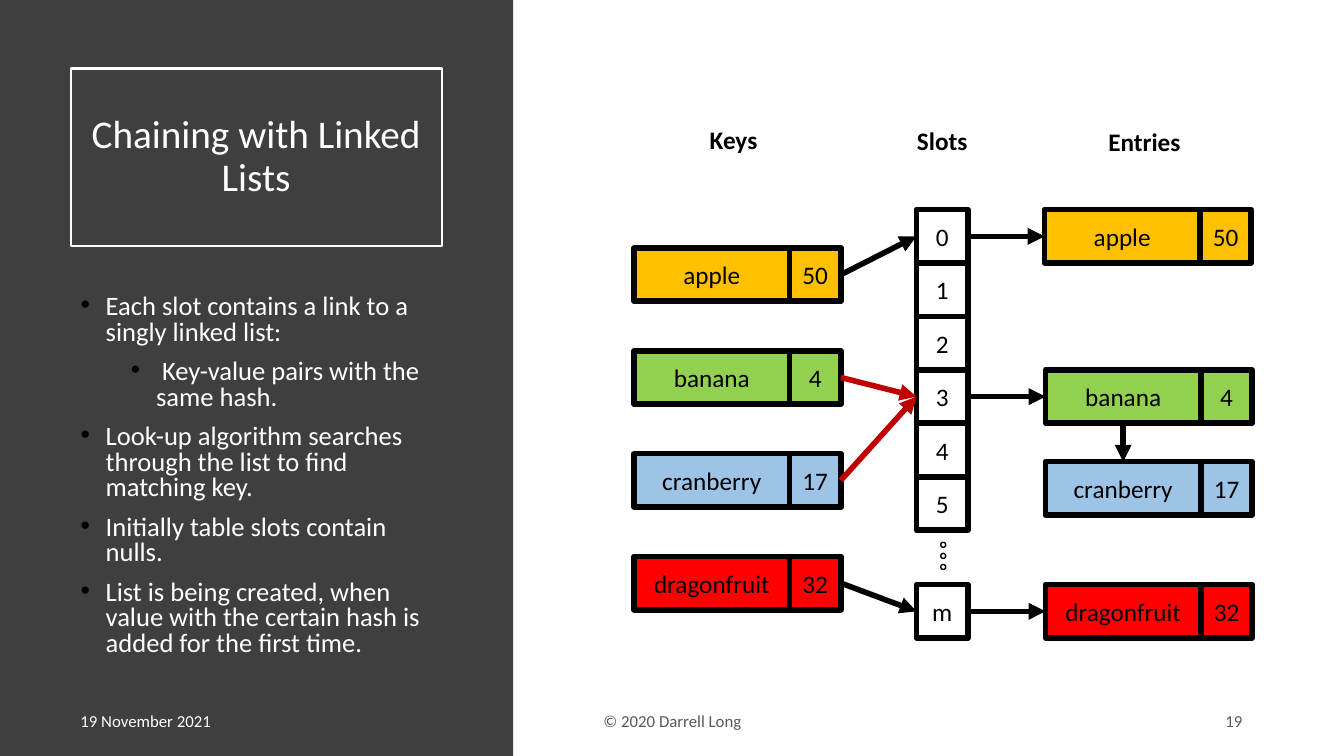
import pptx
import pptx.dml.color
import pptx.enum.shapes
import pptx.enum.text
import pptx.oxml.ns
import pptx.util
import lxml.etree

RGB = pptx.dml.color.RGBColor
BLACK = RGB(0x00, 0x00, 0x00)
WHITE = RGB(0xFF, 0xFF, 0xFF)
CHARCOAL = RGB(0x3F, 0x3F, 0x3F)
GRAY = RGB(0x59, 0x59, 0x59)
GOLD = RGB(0xFF, 0xC0, 0x00)
GREEN = RGB(0x92, 0xD0, 0x50)
BLUE = RGB(0x9D, 0xC3, 0xE6)
RED = RGB(0xFF, 0x00, 0x00)
DARK_RED = RGB(0xC0, 0x00, 0x00)

ALIGN = pptx.enum.text.PP_ALIGN
ANCHOR = pptx.enum.text.MSO_ANCHOR
SHAPE = pptx.enum.shapes.MSO_SHAPE
TOP, LEFT, BOTTOM, RIGHT = range(4)  # connection sites of a rectangle

PX = 9144  # 100 px to the inch
CELL_HEIGHT = 53
NAME_WIDTH, VALUE_WIDTH = 154, 51


def px(*lengths):
    return [pptx.util.Emu(length * PX) for length in lengths]


def add_xml(parent, tag, **attributes):
    element = lxml.etree.SubElement(parent, pptx.oxml.ns.qn(tag))
    for name, value in attributes.items():
        element.set(name, value)
    return element


class Diagram:
    """Draws on one slide in a single font."""

    font_name = "Calibri"

    def __init__(self, slide):
        self.slide = slide

    def style(self, paragraph, size, color, align, bold=False):
        paragraph.alignment = align
        for run in paragraph.runs:
            run.font.name = self.font_name
            run.font.size = pptx.util.Pt(size)
            run.font.bold = bold
            run.font.color.rgb = color

    def box(self, at, fill=None, line=None, weight=4, kind=SHAPE.RECTANGLE):
        shape = self.slide.shapes.add_shape(kind, *px(*at))
        shape.shadow.inherit = False
        if fill is None:
            shape.fill.background()
        else:
            shape.fill.solid()
            shape.fill.fore_color.rgb = fill
        if line is None:
            shape.line.fill.background()
        else:
            shape.line.color.rgb = line
            shape.line.width = pptx.util.Pt(weight)
        return shape

    def put_text(self, shape, text, size, color, align=ALIGN.CENTER, bold=False,
                 anchor=ANCHOR.MIDDLE):
        frame = shape.text_frame
        frame.word_wrap = True
        frame.vertical_anchor = anchor
        frame.text = text
        self.style(frame.paragraphs[0], size, color, align, bold)
        return frame

    def label(self, at, text, size, color, **options):
        textbox = self.slide.shapes.add_textbox(*px(*at))
        self.put_text(textbox, text, size, color, **options)

    def cell(self, left, top, width, text, fill=None):
        shape = self.box((left, top, width, CELL_HEIGHT), fill, BLACK)
        frame = self.put_text(shape, text, 18, BLACK)
        frame.margin_left = frame.margin_right = 0
        return shape

    def pair(self, left, top, name, value, fill):
        """Draw a key cell and its value cell; return both."""
        return (self.cell(left, top, NAME_WIDTH, name, fill),
                self.cell(left + NAME_WIDTH, top, VALUE_WIDTH, value, fill))

    def arrow(self, source, target, color=BLACK, start=RIGHT, end=LEFT):
        connector = self.slide.shapes.add_connector(
            pptx.enum.shapes.MSO_CONNECTOR.STRAIGHT, 0, 0, 0, 0)
        connector.begin_connect(source, start)
        connector.end_connect(target, end)
        connector.line.color.rgb = color
        connector.line.width = pptx.util.Pt(4)
        properties = connector.element.spPr
        add_xml(properties.find(pptx.oxml.ns.qn("a:ln")), "a:tailEnd",
                type="triangle")
        add_xml(properties, "a:effectLst")

    def bullets(self, at, items):
        """Add (level, text) items as a bulleted list."""
        frame = self.slide.shapes.add_textbox(*px(*at)).text_frame
        frame.word_wrap = True
        for index, (level, text) in enumerate(items):
            paragraph = frame.paragraphs[0] if index == 0 else frame.add_paragraph()
            paragraph.text = text
            paragraph.level = level
            properties = paragraph._p.get_or_add_pPr()
            indent, hanging = px(25 + 50 * level, -25)
            properties.set("marL", str(indent))
            properties.set("indent", str(hanging))
            add_xml(add_xml(properties, "a:buClr"), "a:srgbClr", val=str(BLACK))
            add_xml(properties, "a:buFont", typeface="Arial")
            add_xml(properties, "a:buChar", char="•")
            paragraph.line_spacing = 0.8
            paragraph.space_before = pptx.util.Pt(10 if index else 0)
            self.style(paragraph, 19, WHITE, ALIGN.LEFT)


def draw_side_panel(diagram):
    diagram.box((0, 0, 509, 750), CHARCOAL)
    title = diagram.box((70, 68, 368, 176), line=WHITE, weight=1.5)
    frame = diagram.put_text(title, "Chaining with Linked Lists", 28, WHITE)
    frame.paragraphs[0].line_spacing = 0.9
    diagram.bullets((70, 288, 368, 374), [
        (0, "Each slot contains a link to a singly linked list:"),
        (1, " Key-value pairs with the same hash."),
        (0, "Look-up algorithm searches through the list to find matching key."),
        (0, "Initially table slots contain nulls."),
        (0, "List is being created, when value with the certain hash is "
            "added for the first time."),
    ])


def draw_footer(diagram):
    for left, width, text, color, align in (
            (70, 184, "19 November 2021", WHITE, ALIGN.LEFT),
            (442, 450, "© 2020 Darrell Long", GRAY, ALIGN.CENTER),
            (942, 300, "19", GRAY, ALIGN.RIGHT)):
        diagram.label((left, 695, width, 40), text, 12, color, align=align)


def draw_hash_table(diagram):
    for left, top, width, heading in ((683, 118, 89, "Keys"),
                                      (890, 119, 89, "Slots"),
                                      (1043, 120, 184, "Entries")):
        diagram.label((left, top, width, 40), heading, 18, BLACK,
                      bold=True, anchor=ANCHOR.TOP)

    slot_tops = {str(i): 208 + CELL_HEIGHT * i for i in range(6)}
    slot_tops["m"] = 580
    slots = {name: diagram.cell(909, top, VALUE_WIDTH, name)
             for name, top in slot_tops.items()}
    for i in range(3):
        diagram.box((933, 538 + 11 * i, 5, 5), line=BLACK, weight=1,
                    kind=SHAPE.OVAL)

    entries = {}
    for row, (name, value, fill, slot, entry_left, entry_top, color) in enumerate((
            ("apple", "50", GOLD, "0", 1036, 208, BLACK),
            ("banana", "4", GREEN, "3", 1037, 367, DARK_RED),
            ("cranberry", "17", BLUE, "3", 1037, 458, DARK_RED),
            ("dragonfruit", "32", RED, "m", 1037, 580, BLACK))):
        key_value = diagram.pair(629, 246 + 102 * row, name, value, fill)[1]
        diagram.arrow(key_value, slots[slot], color)
        entries[name] = diagram.pair(entry_left, entry_top, name, value, fill)[0]

    for slot, name in (("0", "apple"), ("3", "banana"), ("m", "dragonfruit")):
        diagram.arrow(slots[slot], entries[name])
    diagram.arrow(entries["banana"], entries["cranberry"], start=BOTTOM, end=TOP)


def main():
    presentation = pptx.Presentation()
    presentation.slide_width, presentation.slide_height = (
        pptx.util.Inches(13.33), pptx.util.Inches(7.5))
    diagram = Diagram(presentation.slides.add_slide(presentation.slide_layouts[6]))
    draw_side_panel(diagram)
    draw_footer(diagram)
    draw_hash_table(diagram)
    presentation.save("out.pptx")


if __name__ == "__main__":
    main()
